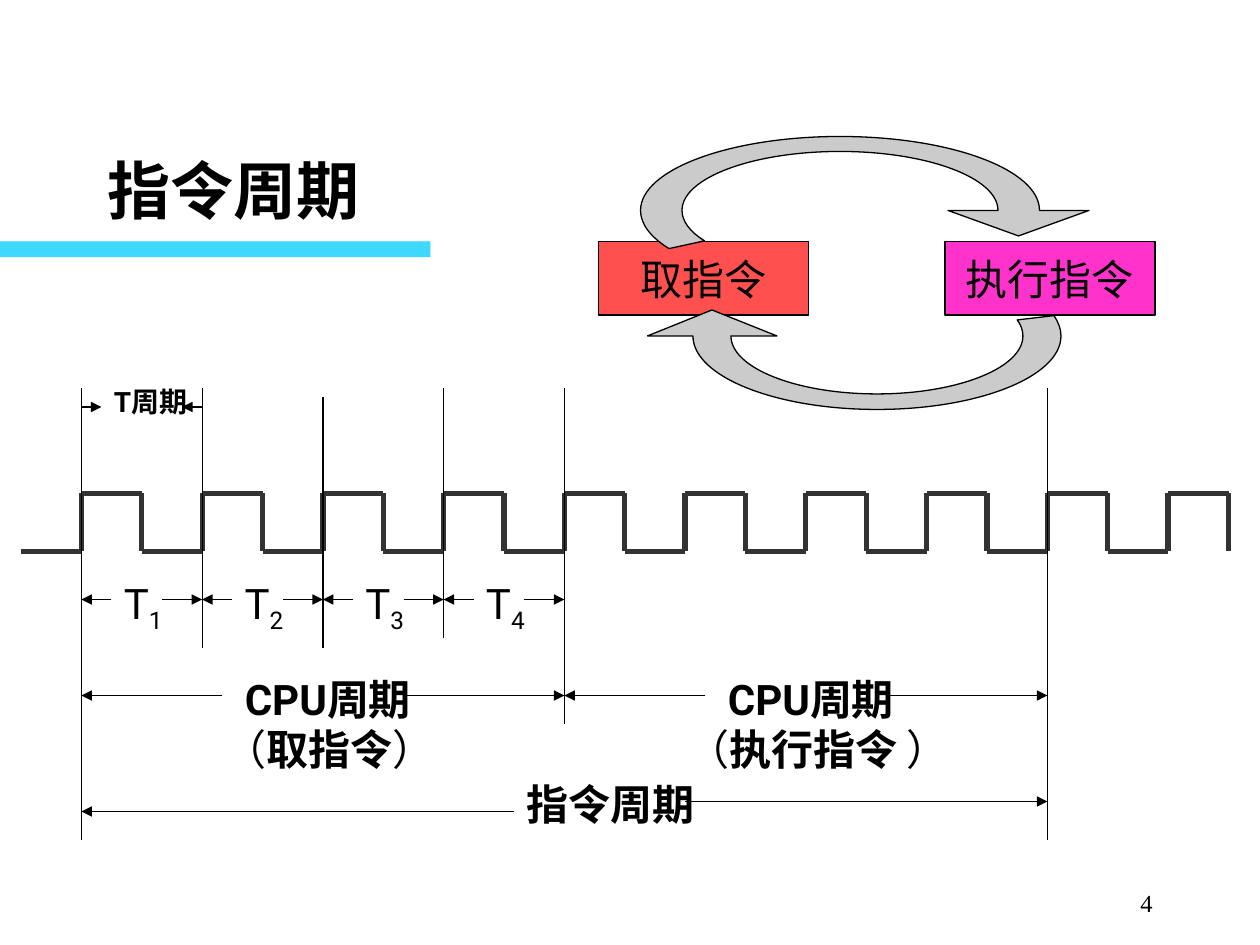
"""Build the instruction cycle timing slide."""
import math
from lxml import etree
from pptx import Presentation, util as u
from pptx.dml.color import RGBColor
from pptx.enum import shapes, text
from pptx.oxml.ns import qn

THEME = {
    "ink": "000000", "wave": "333333", "bar": "00CCFF", "arc": "CBCBCB",
    "fetch": "FF5050", "run": "FF33CC",
    "sans": "Roboto", "serif": "Times New Roman",
    "title": 36, "body": 24, "small": 16, "page": 14,
    "thin": 0.75, "thick": 3,
}
TITLE = ("指令周期", (94.5, 136.5, 441, 105))
BAR, LAYERS = (0, 241.5, 430.5, 15.75), 2
PAGE = ("4", (903, 861, 262, 63))
STEPS = [("取指令", "fetch", 598.5), ("执行指令", "run", 945)]
ARCS = [
    {"mid": (840, 210.5), "outer": (199.5, 74), "inner": (158, 59),
     "sweep": [0, -90, -180, -211],
     "head": [(1039.5, 210.5), (1089, 210.5), (1018.5, 236), (948, 210.5)]},
    {"mid": (877, 336), "outer": (184, 73.5), "inner": (146, 58),
     "sweep": [180, 90, 0, -16],
     "head": [(693, 336), (647.5, 336), (712, 310), (777, 336)]},
]
LEFT, SPAN, COUNT = 81.4, 966, 8
HIGH, LOW, WAVES = 493.5, 551.5, 10
TICKS = [(0, 388, 840), (1, 388, 648), (2, 397, 648),
         (3, 388, 638), (4, 388, 724), (8, 388, 840)]
CYCLES = [(0, "取指令", "）", 212, 282), (4, "执行指令", " ）", 675, 302)]
LABELS = [
    ((514, 772.5, 312, 63), "body", [("指令周期", "bold")]),
    ((101.5, 378, 131, 47), "small", [("T周期", "bold")]),
]


def px(n):
    return u.Emu(round(n * 914400 / 126))


def edge(n):
    return LEFT + n * SPAN / COUNT


def rgb(key):
    return RGBColor.from_string(THEME[key])


def put(obj, vals):
    for key, val in vals.items():
        setattr(obj, key, val)


def style(run, size, face, bold=False):
    put(run.font, {"size": u.Pt(THEME[size]), "name": THEME[face], "bold": bold})
    run.font.color.rgb = rgb("ink")


def paint(shape, fill, line=True):
    shape.shadow.inherit = False
    shape.fill.solid()
    shape.fill.fore_color.rgb = rgb(fill)
    if line:
        shape.line.color.rgb = rgb("ink")
        shape.line.width = u.Pt(THEME["thin"])
    else:
        shape.line.fill.background()


def rect(slide, box, fill, line=True):
    shape = slide.shapes.add_shape(shapes.MSO_SHAPE.RECTANGLE, *map(px, box))
    paint(shape, fill, line)
    return shape


def bar(slide):
    for _ in range(LAYERS):
        shape = rect(slide, BAR, "bar", False)
        tone = shape._element.spPr.find(f"{qn('a:solidFill')}/{qn('a:srgbClr')}")
        etree.SubElement(tone, qn("a:alpha"), val="50000")


def link(slide, start, end, color="ink", width="thin", arrow=False):
    line = slide.shapes.add_connector(
        shapes.MSO_CONNECTOR.STRAIGHT, *map(px, (*start, *end)))
    line.line.color.rgb = rgb(color)
    line.line.width = u.Pt(THEME[width])
    if arrow:
        etree.SubElement(line.line._get_or_add_ln(), qn("a:tailEnd"), type="triangle")
    etree.SubElement(line._element.spPr, qn("a:effectLst"))


def label(slide, box, size, runs):
    frame = slide.shapes.add_textbox(*map(px, box)).text_frame
    put(frame, {"word_wrap": True, "auto_size": text.MSO_AUTO_SIZE.SHAPE_TO_FIT_TEXT})
    for words, kind in runs:
        run = frame.paragraphs[0].add_run()
        run.text = words
        style(run, size, "sans", kind == "bold")
        if kind == "sub":
            run._r.get_or_add_rPr().set("baseline", "-25000")


def title(slide):
    words, box = TITLE
    shape = slide.shapes.title
    put(shape, dict(zip(("left", "top", "width", "height"), map(px, box))))
    frame = shape.text_frame
    frame.text = words
    put(frame, {"vertical_anchor": text.MSO_ANCHOR.MIDDLE,
                "auto_size": text.MSO_AUTO_SIZE.NONE})
    para = frame.paragraphs[0]
    para.alignment = text.PP_ALIGN.LEFT
    style(para.runs[0], "title", "serif", True)


def page(slide):
    words, box = PAGE
    frame = slide.shapes.add_textbox(*map(px, box)).text_frame
    put(frame, {"text": words, "word_wrap": True,
                "vertical_anchor": text.MSO_ANCHOR.BOTTOM})
    para = frame.paragraphs[0]
    para.alignment = text.PP_ALIGN.RIGHT
    style(para.runs[0], "page", "serif")


def clock(slide):
    for n in range(WAVES):
        start, rise, fall = edge(n - 0.5), edge(n), edge(n + 0.5)
        pts = [(start, LOW), (rise, LOW), (rise, HIGH), (fall, HIGH), (fall, LOW)]
        for a, b in zip(pts, pts[1:]):
            link(slide, a, b, "wave", "thick")
    for n, top, low in TICKS:
        link(slide, (edge(n), top), (edge(n), low))


def spans(slide):
    rows = [(0, 8, 433, 362, 811.5, 801.5), (0, 1, -20, -20, 407, 407)]
    rows += [(n, n + 4, 141, 161, 695.5, 695.5) for n, *_ in CYCLES]
    rows += [(n, n + 1, 30, 40, 599.5, 599.5) for n in range(4)]
    for a, b, near, far, y1, y2 in rows:
        ends = [((edge(a), y1), (edge(a) + abs(near), y1)),
                ((edge(b), y2), (edge(b) - abs(far), y2))]
        for tip, tail in ends:
            start, end = (tip, tail) if near < 0 else (tail, tip)
            link(slide, start, end, arrow=True)


def names(slide):
    for box, size, runs in LABELS:
        label(slide, box, size, runs)
    for n in range(4):
        label(slide, (edge(n) + 30, 571, 91, 71), "body",
              [("T", ""), (str(n + 1), "sub")])
    for n, words, close, x, width in CYCLES:
        label(slide, (edge(n) + 151, 667, 242, 63), "body", [("CPU周期", "bold")])
        label(slide, (x, 717, width, 63), "body",
              [("（", ""), (words, "bold"), (close, "")])


def curve(mid, radii, stops):
    def spot(turn, slope=0):
        x, y = math.cos(turn), math.sin(turn)
        return (mid[0] + radii[0] * (x - slope * y), mid[1] + radii[1] * (y + slope * x))

    turns = [math.radians(stop) for stop in stops]
    pts = [spot(turns[0])]
    for a, b in zip(turns, turns[1:]):
        pull = 4 / 3 * math.tan((b - a) / 4)
        pts += [spot(a, pull), spot(b, -pull), spot(b)]
    return pts


def bend(shape, first, count):
    lines = list(shape._element.iter(qn("a:lnTo")))
    for n in range(first, first + 3 * count, 3):
        lines[n].tag = qn("a:cubicBezTo")
        for line in lines[n + 1:n + 3]:
            lines[n].append(line[0])
            line.getparent().remove(line)


def loop(slide):
    for words, fill, x in STEPS:
        frame = rect(slide, (x, 241.5, 210, 73.5), fill).text_frame
        put(frame, {"text": words, "word_wrap": False,
                    "vertical_anchor": text.MSO_ANCHOR.MIDDLE})
        para = frame.paragraphs[0]
        para.alignment = text.PP_ALIGN.CENTER
        style(para.runs[0], "body", "serif")
    for arc in ARCS:
        stops = arc["sweep"]
        inner = curve(arc["mid"], arc["inner"], stops)
        outer = curve(arc["mid"], arc["outer"], stops[::-1])
        pts = [(px(x), px(y)) for x, y in inner + outer + arc["head"]]
        form = slide.shapes.build_freeform(*pts[0])
        form.add_line_segments(pts[1:], close=True)
        shape = form.convert_to_shape()
        for first in (len(inner), 0):
            bend(shape, first, len(stops) - 1)
        paint(shape, "arc")


def main():
    deck = Presentation()
    put(deck, {"slide_width": px(1260), "slide_height": px(945)})
    slide = deck.slides.add_slide(deck.slide_layouts[5])
    for draw in (bar, title, page, clock, spans, names, loop):
        draw(slide)
    deck.save("out.pptx")


if __name__ == "__main__":
    main()
